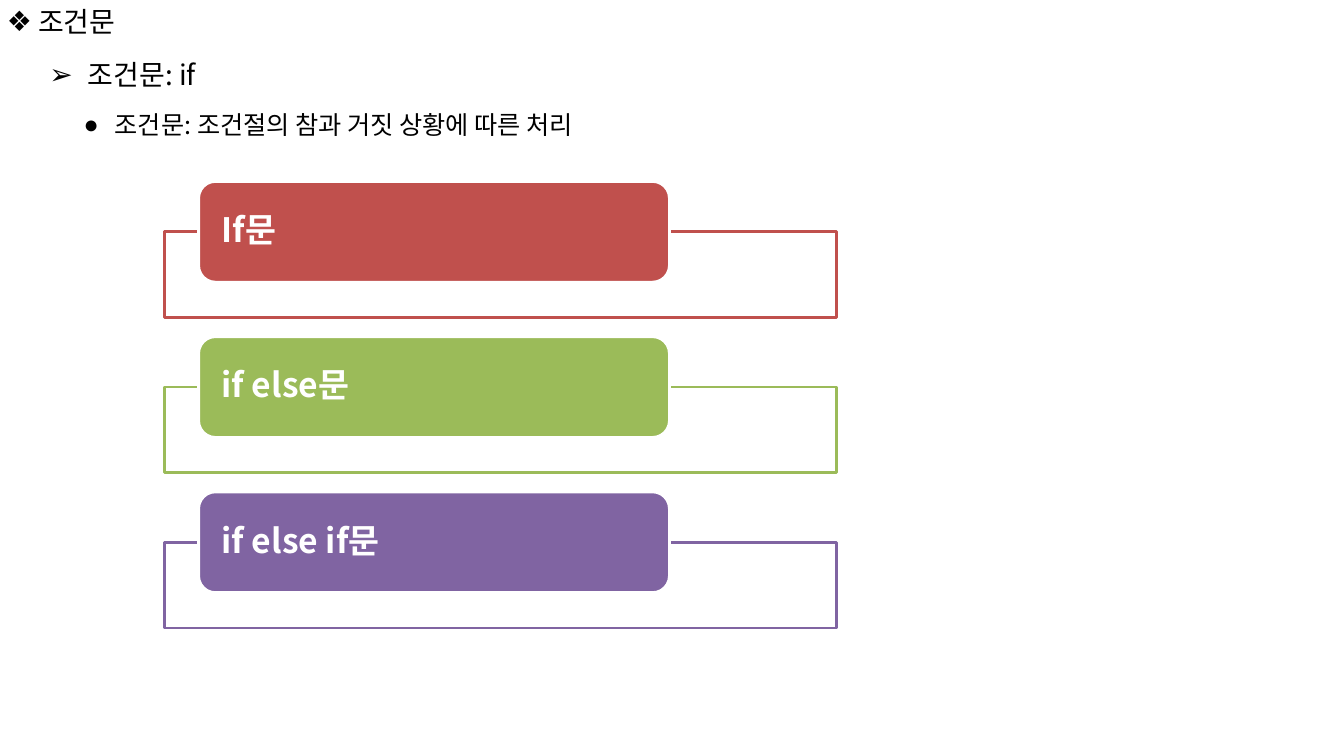
from lxml import etree
from pptx import Presentation
from pptx.dml.color import RGBColor
from pptx.enum.shapes import MSO_SHAPE
from pptx.enum.text import MSO_ANCHOR, MSO_AUTO_SIZE, PP_ALIGN
from pptx.oxml.ns import qn
from pptx.util import Inches, Pt

RECT, ROUND = MSO_SHAPE.RECTANGLE, MSO_SHAPE.ROUNDED_RECTANGLE
MIDDLE, TOP = MSO_ANCHOR.MIDDLE, MSO_ANCHOR.TOP
LEFT = PP_ALIGN.LEFT
GROW, FIXED = MSO_AUTO_SIZE.SHAPE_TO_FIT_TEXT, MSO_AUTO_SIZE.NONE
SANS = "Noto Sans CJK KR"


def color(code):
    return RGBColor.from_string(code)


def write(frame, text, size=20, font=SANS, ink="000000", bold=False,
          anchor=TOP, fit=FIXED, bullet=None, indent=0, line=None):
    """Fill a text frame with one formatted paragraph."""
    frame.word_wrap = True
    frame.auto_size = fit
    frame.vertical_anchor = anchor
    para = frame.paragraphs[0]
    para.alignment = LEFT
    if line:
        para.line_spacing = line
    if bullet:
        props = para._p.get_or_add_pPr()
        props.set("marL", str(Inches(indent)))
        props.set("indent", str(-Inches(indent)))
        etree.SubElement(props, qn("a:buFont")).set("typeface", "Arial")
        etree.SubElement(props, qn("a:buChar")).set("char", bullet)
    run = para.add_run()
    run.text = text
    run.font.size = Pt(size)
    run.font.name = font
    run.font.bold = bold
    run.font.color.rgb = color(ink)
    # Hangul takes the East Asian font
    east = etree.SubElement(run._r.get_or_add_rPr(), qn("a:ea"))
    east.set("typeface", SANS)


class Deck:
    white = "FFFFFF"
    stroke = 2

    def __init__(self):
        self.prs = Presentation()
        self.prs.slide_width = Inches(13.33)
        self.prs.slide_height = Inches(7.5)
        self.slide = self.prs.slides.add_slide(self.prs.slide_layouts[5])

    def title(self, box, text, **style):
        shape = self.slide.shapes.title
        shape.left, shape.top, shape.width, shape.height = map(Inches, box)
        write(shape.text_frame, text, **style)

    def label(self, box, text, **style):
        shape = self.slide.shapes.add_textbox(*map(Inches, box))
        write(shape.text_frame, text, **style)

    def shape(self, kind, box, fill, edge, alpha=None):
        shape = self.slide.shapes.add_shape(kind, *map(Inches, box))
        shape.shadow.inherit = False
        shape.fill.solid()
        shape.fill.fore_color.rgb = color(fill)
        if alpha:
            tone = shape.fill._xPr.find(".//" + qn("a:srgbClr"))
            etree.SubElement(tone, qn("a:alpha")).set("val", str(alpha * 1000))
        shape.line.color.rgb = color(edge)
        shape.line.width = Pt(self.stroke)
        return shape

    def card(self, top, text, tint):
        """A tinted heading that overlaps the top of an outlined frame."""
        self.shape(RECT, (1.63, top + 0.5, 6.67, 0.85), self.white, tint, alpha=90)
        head = self.shape(ROUND, (1.97, top, 4.67, 1), tint, self.white)
        frame = head.text_frame
        frame.margin_left = frame.margin_right = Inches(0.18)
        frame.margin_top = frame.margin_bottom = 0
        write(frame, text, size=24, ink=self.white, bold=True,
              anchor=MIDDLE, line=0.9)


def main():
    deck = Deck()

    # Headings
    deck.title((0.39, 0.51, 2.08, 0.46), "조건문: if",
               anchor=MIDDLE, bullet="➢", indent=0.38)
    deck.label((0.73, 1.04, 7.32, 0.4), "조건문: 조건절의 참과 거짓 상황에 따른 처리",
               size=18, fit=GROW, bullet="●", indent=0.31)
    deck.label((-0.03, 0, 5, 0.44), "조건문",
               font="Karla", fit=GROW, bullet="❖", indent=0.31)

    # Kinds of condition
    kinds = [("If문", "C0504D"), ("if else문", "9BBB59"), ("if else if문", "8064A2")]
    for i, (text, tint) in enumerate(kinds):
        deck.card(1.8 + 1.54 * i, text, tint)

    deck.prs.save("out.pptx")


if __name__ == "__main__":
    main()
